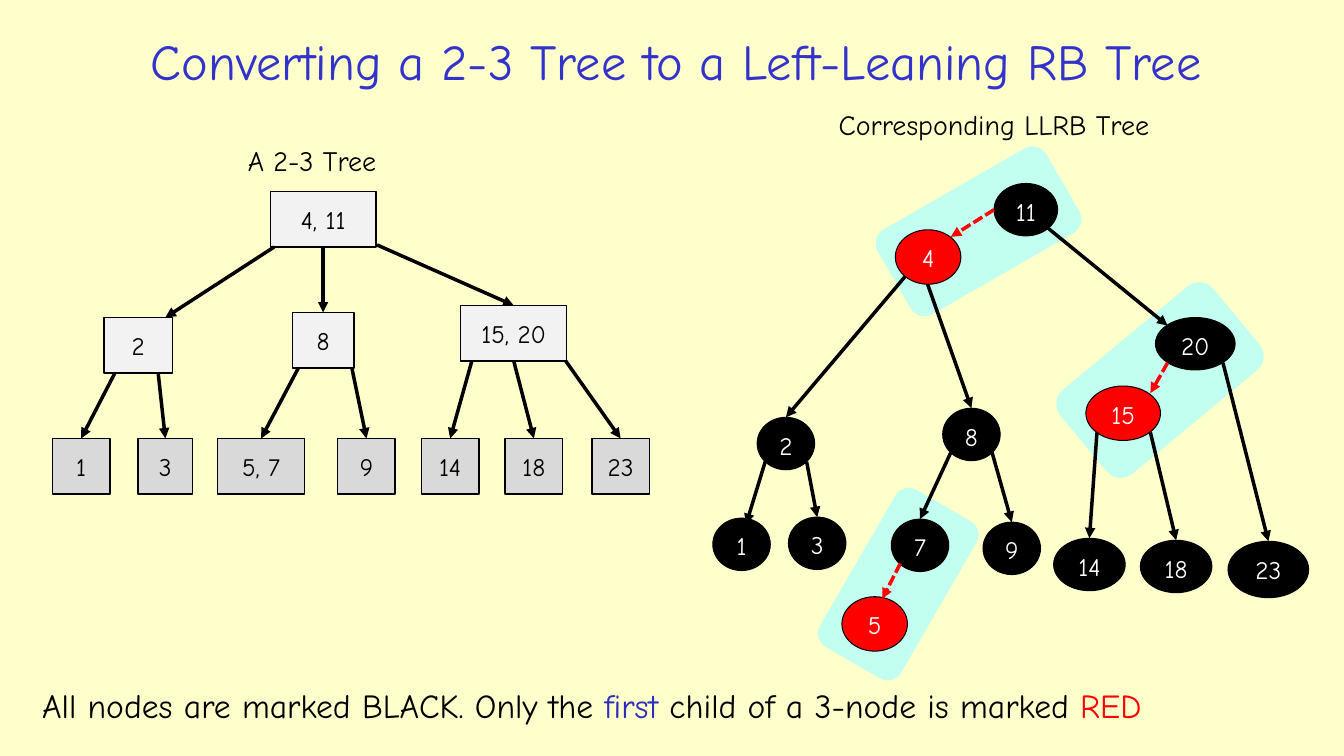
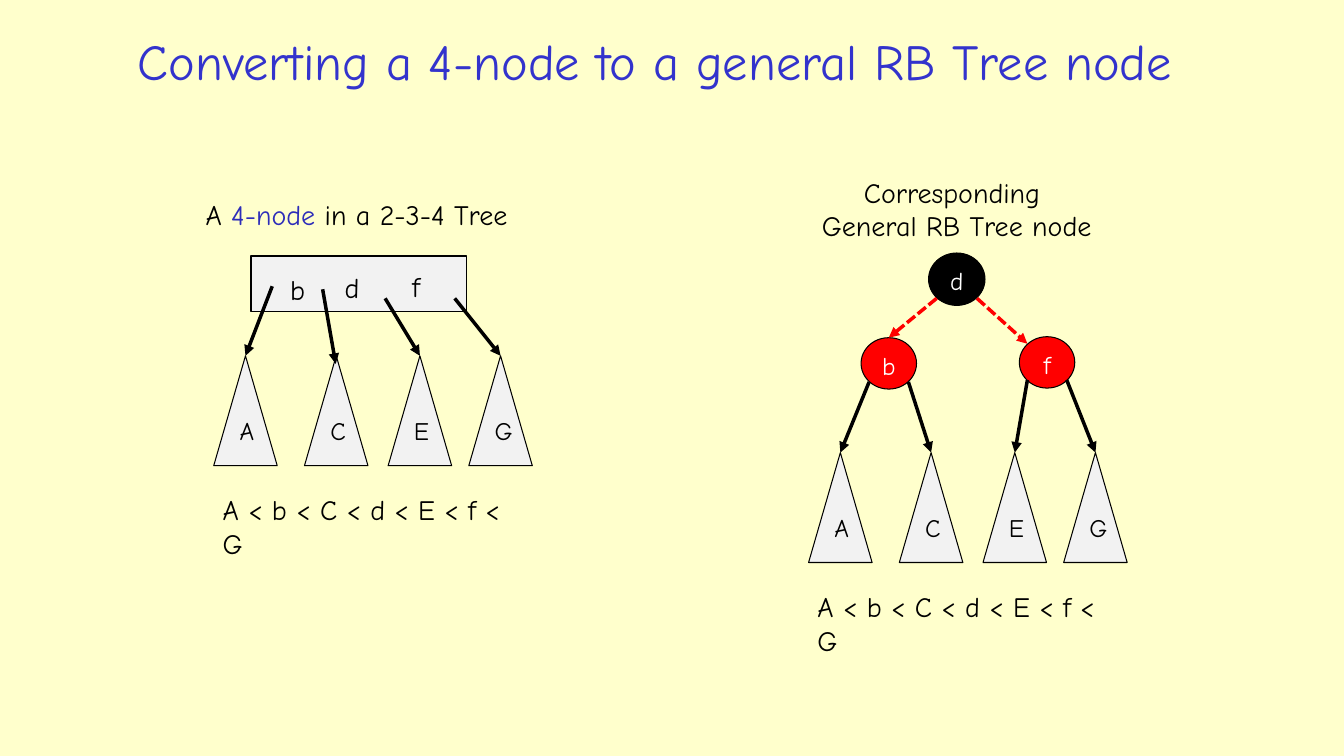
from lxml.etree import SubElement
from pptx import Presentation
from pptx.dml.color import RGBColor
from pptx.enum.dml import MSO_LINE
from pptx.enum.shapes import MSO_CONNECTOR, MSO_SHAPE
from pptx.enum.text import MSO_ANCHOR, MSO_AUTO_SIZE, PP_ALIGN
from pptx.oxml.ns import qn
from pptx.util import Inches, Pt

FONT = "Comic Neue"
CREAM, MINT = "FFFFCC", "C2FFF0"
BLACK, WHITE, RED = "000000", "FFFFFF", "FF0000"
TITLE_BLUE, WORD_BLUE = "3333CC", "2D2DB9"
INNER_GREY, LEAF_GREY = "F2F2F2", "D9D9D9"
TOP, BOTTOM = 0, 2
KEY_ORDER = "A < b < C < d < E < f < G"


def color(hex_string):
    return RGBColor.from_string(hex_string)


def lengths(*values):
    return [Inches(value) for value in values]


def set_font(font, size, hex_string):
    font.name = FONT
    font.size = Pt(size)
    font.color.rgb = color(hex_string)


def add_titled_slide(deck, title, left, width):
    slide = deck.slides.add_slide(deck.slide_layouts[5])
    box = slide.shapes.title
    box.left, box.top, box.width, box.height = lengths(left, 0.18, width, 0.84)
    frame = box.text_frame
    frame.text = title
    frame.auto_size = MSO_AUTO_SIZE.NONE
    frame.vertical_anchor = MSO_ANCHOR.MIDDLE
    para = frame.paragraphs[0]
    para.alignment = PP_ALIGN.CENTER
    set_font(para.font, 36, TITLE_BLUE)
    return slide


def add_text(slide, place, paragraphs, size=20, align=PP_ALIGN.LEFT):
    """Add a text box; each paragraph is a list of (text, colour) spans."""
    frame = slide.shapes.add_textbox(*lengths(*place)).text_frame
    frame.word_wrap = True
    frame.auto_size = MSO_AUTO_SIZE.SHAPE_TO_FIT_TEXT
    for index, spans in enumerate(paragraphs):
        para = frame.add_paragraph() if index else frame.paragraphs[0]
        para.alignment = align
        for text, hex_string in spans:
            span = para.add_run()
            span.text = text
            set_font(span.font, size, hex_string)


def add_label(slide, place, text):
    add_text(slide, place, [[(text, BLACK)]])


def add_plain_shape(slide, kind, place, fill, line_width=None):
    shape = slide.shapes.add_shape(kind, *lengths(*place))
    shape.shadow.inherit = False
    shape.fill.solid()
    shape.fill.fore_color.rgb = color(fill)
    if line_width is None:
        shape.line.fill.background()
    else:
        shape.line.color.rgb = color(BLACK)
        shape.line.width = Pt(line_width)
    return shape


def write_key(shape, text, hex_string, anchor, align=PP_ALIGN.CENTER):
    frame = shape.text_frame
    frame.text = text
    frame.vertical_anchor = anchor
    para = frame.paragraphs[0]
    para.alignment = align
    set_font(para.font, 18, hex_string)


def add_box(slide, text, place, fill):
    box = add_plain_shape(slide, MSO_SHAPE.RECTANGLE, place, fill, 1)
    write_key(box, text, BLACK, MSO_ANCHOR.MIDDLE)
    return box


def add_oval(slide, text, place, fill=BLACK):
    oval = add_plain_shape(slide, MSO_SHAPE.OVAL, place, fill, 0.75)
    write_key(oval, text, WHITE, MSO_ANCHOR.TOP)
    oval.text_frame.word_wrap = False
    return oval


def add_subtrees(slide, left, top):
    """Add the row of triangles A, C, E and G, and return them by name."""
    subtrees = {}
    for name, offset in zip("ACEG", (0, 0.9, 1.73, 2.53)):
        place = (left + offset, top, 0.63, 1.09)
        triangle = add_plain_shape(slide, MSO_SHAPE.ISOSCELES_TRIANGLE, place, INNER_GREY, 0.75)
        write_key(triangle, name, BLACK, MSO_ANCHOR.TOP, PP_ALIGN.LEFT)
        subtrees[name] = triangle
    return subtrees


def add_group_band(slide, place, rotation):
    band = add_plain_shape(slide, MSO_SHAPE.ROUNDED_RECTANGLE, place, MINT)
    band.rotation = rotation


def add_edges(slide, nodes, edges, hex_string=BLACK, dashed=False):
    """Draw arrows; an end is a point, or a node name (leave at bottom, reach top)."""
    for start, end in edges:
        first = (0, 0) if start in nodes else start
        last = (0, 0) if end in nodes else end
        edge = slide.shapes.add_connector(MSO_CONNECTOR.STRAIGHT, *lengths(*first, *last))
        if start in nodes:
            edge.begin_connect(nodes[start], BOTTOM)
        if end in nodes:
            edge.end_connect(nodes[end], TOP)
        edge.line.color.rgb = color(hex_string)
        edge.line.width = Pt(2.5)
        if dashed:
            edge.line.dash_style = MSO_LINE.SQUARE_DOT
        properties = edge.line._get_or_add_ln()
        SubElement(properties, qn("a:tailEnd"), type="triangle")
        SubElement(properties.getparent(), qn("a:effectLst"))


def draw_two_three_tree(slide):
    inner = {
        "4, 11": (2.68, 1.9, 1.05), "2": (1.03, 3.15, 0.68),
        "8": (2.9, 3.1, 0.61), "15, 20": (4.57, 3.03, 1.05),
    }
    leaves = {
        "1": (0.52, 0.57), "3": (1.37, 0.54), "5, 7": (2.16, 0.86), "9": (3.35, 0.57),
        "14": (4.18, 0.57), "18": (5.01, 0.57), "23": (5.87, 0.57),
    }
    nodes = {key: add_box(slide, key, (*place, 0.55), INNER_GREY) for key, place in inner.items()}
    for key, (left, width) in leaves.items():
        nodes[key] = add_box(slide, key, (left, 4.35, width, 0.55), LEAF_GREY)
    add_edges(slide, nodes, [
        ((2.72, 2.45), (1.64, 3.15)), ("4, 11", "8"), ((3.74, 2.43), "15, 20"),
        ((1.14, 3.7), "1"), ((1.57, 3.71), "3"),
        ((2.96, 3.65), "5, 7"), ((3.49, 3.65), "9"),
        ((4.68, 3.58), "14"), ("15, 20", "18"), ((5.61, 3.58), "23"),
    ])
    add_label(slide, (2.36, 1.37, 1.67, 0.44), "A 2-3 Tree")


def draw_left_leaning_tree(slide):
    black_nodes = {
        "11": (9.86, 1.82, 0.63, 0.52), "2": (7.51, 4.14, 0.57, 0.52),
        "1": (7.07, 5.14, 0.57, 0.52), "3": (7.82, 5.13, 0.57, 0.52),
        "8": (9.35, 4.05, 0.57, 0.52), "7": (8.84, 5.15, 0.57, 0.52),
        "9": (9.75, 5.18, 0.57, 0.52), "20": (11.46, 3.15, 0.79, 0.52),
        "14": (10.45, 5.34, 0.71, 0.52), "18": (11.31, 5.36, 0.71, 0.52),
        "23": (12.18, 5.37, 0.8, 0.56),
    }
    red_nodes = {
        "4": (8.88, 2.28, 0.65, 0.54), "5": (8.35, 5.92, 0.65, 0.54),
        "15": (10.77, 3.83, 0.74, 0.54),
    }
    nodes = {key: add_oval(slide, key, place) for key, place in black_nodes.items()}
    for key, place in red_nodes.items():
        nodes[key] = add_oval(slide, key, place, RED)
    add_edges(slide, nodes, [
        ((8.98, 2.74), "2"), ((9.2, 2.82), "8"), ((10.39, 2.26), (11.58, 3.23)),
        ((7.59, 4.58), (7.4, 5.2)), ((8, 4.58), "3"),
        ((9.43, 4.49), "7"), ((9.84, 4.49), "9"),
        ((10.88, 4.29), "14"), ((11.41, 4.29), "18"), ((12.13, 3.6), "23"),
    ])
    add_edges(slide, nodes, [
        ((9.86, 2.08), (9.43, 2.35)), ((11.58, 3.6), (11.41, 3.9)),
        ((8.93, 5.59), (8.75, 5.94)),
    ], RED, dashed=True)
    add_label(slide, (8.22, 1.02, 3.53, 0.44), "Corresponding LLRB Tree")


def build_tree_slide(deck):
    slide = add_titled_slide(deck, "Converting a 2-3 Tree to a Left-Leaning RB Tree", 0.44, 12.53)
    add_group_band(slide, (8.01, 5.33, 1.8, 0.93), 300.1)
    add_group_band(slide, (10.52, 3.23, 1.97, 1.08), 320.3)
    add_group_band(slide, (8.74, 1.81, 1.93, 0.97), 330.1)
    draw_two_three_tree(slide)
    draw_left_leaning_tree(slide)
    add_text(slide, (0.32, 6.75, 12.08, 0.5), [[
        ("All nodes are marked BLACK. Only the ", BLACK), ("first", WORD_BLUE),
        (" child of a 3-node is marked ", BLACK), ("RED", RED),
    ]], size=24)


def draw_four_node(slide):
    add_plain_shape(slide, MSO_SHAPE.RECTANGLE, (2.49, 2.54, 2.14, 0.55), INNER_GREY, 1)
    subtrees = add_subtrees(slide, 2.12, 3.53)
    add_edges(slide, subtrees, [
        ((2.7, 2.84), "A"), ((3.2, 2.87), (3.33, 3.61)),
        ((3.82, 2.96), "E"), ((4.51, 2.96), "G"),
    ])
    for key, left, top in (("b", 2.78, 2.65), ("d", 3.32, 2.63), ("f", 3.99, 2.62)):
        add_label(slide, (left, top, 0.37, 0.44), key)
    add_text(slide, (1.94, 1.91, 3.49, 0.44), [[
        ("A ", BLACK), ("4-node", WORD_BLUE), (" in a 2-3-4 Tree", BLACK),
    ]])
    add_label(slide, (2.11, 4.84, 3.07, 0.44), KEY_ORDER)


def draw_red_black_node(slide):
    nodes = add_subtrees(slide, 8.02, 4.49)
    nodes["d"] = add_oval(slide, "d", (9.21, 2.51, 0.56, 0.52))
    nodes["b"] = add_oval(slide, "b", (8.54, 3.35, 0.55, 0.51), RED)
    nodes["f"] = add_oval(slide, "f", (10.11, 3.34, 0.55, 0.51), RED)
    add_edges(slide, nodes, [
        ((8.62, 3.79), "A"), ((9.01, 3.79), "C"),
        ((10.19, 3.77), "E"), ((10.58, 3.77), "G"),
    ])
    add_edges(slide, nodes, [
        ((9.29, 2.96), "b"), ((9.69, 2.96), (10.19, 3.41)),
    ], RED, dashed=True)
    add_text(slide, (7.96, 1.69, 3.06, 0.77), [
        [("Corresponding ", BLACK)], [("General RB Tree node", BLACK)],
    ], align=PP_ALIGN.CENTER)
    add_label(slide, (8.01, 5.8, 3.07, 0.44), KEY_ORDER)


def build_node_slide(deck):
    slide = add_titled_slide(deck, "Converting a 4-node to a general RB Tree node", 0.18, 12.63)
    draw_four_node(slide)
    draw_red_black_node(slide)


def main():
    deck = Presentation()
    deck.slide_width, deck.slide_height = lengths(13.33, 7.5)
    background = deck.slide_master.background.fill
    background.solid()
    background.fore_color.rgb = color(CREAM)
    build_tree_slide(deck)
    build_node_slide(deck)
    deck.save("out.pptx")


if __name__ == "__main__":
    main()
